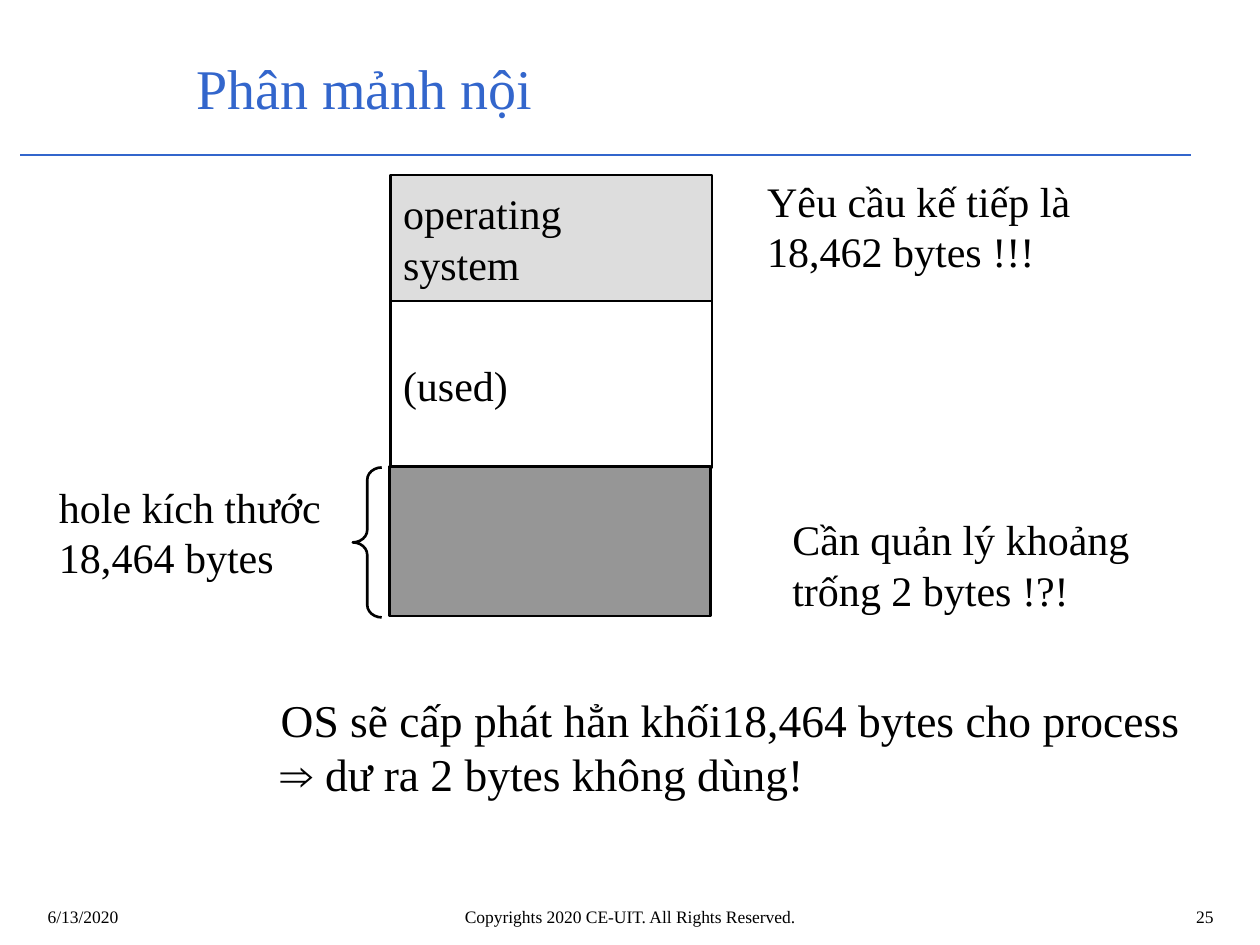
from typing import NamedTuple, Optional

from lxml.etree import SubElement
from pptx import Presentation
from pptx.dml.color import RGBColor
from pptx.enum.shapes import MSO_CONNECTOR as Connector, MSO_SHAPE as Preset
from pptx.enum.text import MSO_ANCHOR as Anchor, PP_ALIGN as Align
from pptx.oxml.ns import qn
from pptx.util import Inches, Pt

COLUMNS, ROWS = 100, 75
WIDTH, HEIGHT = Inches(10), Inches(7.5)
FONT = "Times New Roman"
BLACK, BLUE = "000000", "3366CC"


class Area(NamedTuple):
    column: float
    row: float
    columns: float
    rows: float


class Block(NamedTuple):
    area: Area
    fill: Optional[str] = None
    text: str = ""


class Label(NamedTuple):
    area: Area
    text: str
    size: float = 24
    color: str = BLACK
    align: Align = Align.LEFT
    anchor: Anchor = Anchor.TOP


def across(columns: float) -> int:
    return round(WIDTH * columns / COLUMNS)


def down(rows: float) -> int:
    return round(HEIGHT * rows / ROWS)


def place(area: Area) -> tuple:
    return across(area.column), down(area.row), across(area.columns), down(area.rows)


def color_of(value: str) -> RGBColor:
    return RGBColor.from_string(value)


def write(shape, text: str, *, size: float = 24, color: str = BLACK,
          align: Align = Align.LEFT, anchor: Anchor = Anchor.TOP) -> None:
    frame = shape.text_frame
    frame.word_wrap = True
    frame.vertical_anchor = anchor
    frame.text = text
    for paragraph in frame.paragraphs:
        paragraph.alignment = align
        paragraph.font.name = FONT
        paragraph.font.size = Pt(size)
        paragraph.font.color.rgb = color_of(color)


def add_outlined(slide, preset: Preset, area: Area, fill: Optional[str] = None):
    shape = slide.shapes.add_shape(preset, *place(area))
    shape.shadow.inherit = False
    if fill:
        shape.fill.solid()
        shape.fill.fore_color.rgb = color_of(fill)
    else:
        shape.fill.background()
    shape.line.color.rgb = color_of(BLACK)
    shape.line.width = Pt(1.5)
    return shape


def add_block(slide, block: Block) -> None:
    shape = add_outlined(slide, Preset.RECTANGLE, block.area, block.fill)
    if block.text:
        write(shape, block.text, anchor=Anchor.MIDDLE)


def add_label(slide, label: Label) -> None:
    box = slide.shapes.add_textbox(*place(label.area))
    write(box, label.text, size=label.size, color=label.color,
          align=label.align, anchor=label.anchor)


def add_rule(slide, start: float, end: float, row: float) -> None:
    rule = slide.shapes.add_connector(
        Connector.STRAIGHT, across(start), down(row), across(end), down(row))
    rule.line.color.rgb = color_of(BLUE)
    rule.line.width = Pt(0.75)
    SubElement(rule._element.spPr, qn("a:effectLst"))


def add_brace(slide, area: Area) -> None:
    brace = add_outlined(slide, Preset.LEFT_BRACE, area)
    brace.adjustments[0] = 0.43
    brace.adjustments[1] = 0.5


TITLE = Label(Area(14.6, 3.1, 80.4, 7.6), "Phân mảnh nội", 32, BLUE, anchor=Anchor.MIDDLE)
MEMORY = [
    Block(Area(31, 13.9, 25.5, 10), "DDDDDD", "operating\nsystem"),
    Block(Area(31, 23.9, 25.5, 13.2), text="(used)"),
    Block(Area(30.9, 37, 25.5, 11.9), "969696"),
]
NOTES = [
    Label(Area(59.9, 13.4, 31.5, 9.1), "Yêu cầu kế tiếp là 18,462 bytes !!!"),
    Label(Area(3.7, 37.7, 23, 9.1), "hole kích thước\n18,464 bytes"),
    Label(Area(61.9, 40.3, 33.1, 9.1), "Cần quản lý khoảng trống 2 bytes !?!"),
    Label(Area(21.3, 54.4, 73.6, 9.7),
          "OS sẽ cấp phát hẳn khối18,464 bytes cho process ⇒ dư ra 2 bytes không dùng!", 26),
]
FOOTER = [
    Label(Area(2.8, 71.4, 23.3, 3.2), "6/13/2020", 10),
    Label(Area(78.1, 71.4, 19.2, 3.2), "25", 10, align=Align.RIGHT),
    Label(Area(19.3, 71.4, 61.4, 3.2), "Copyrights 2020 CE-UIT. All Rights Reserved.",
          10, align=Align.CENTER),
]


def main() -> None:
    presentation = Presentation()
    presentation.slide_width, presentation.slide_height = WIDTH, HEIGHT
    slide = presentation.slides.add_slide(presentation.slide_layouts[6])
    add_rule(slide, 1.6, 94.5, 12.3)
    for label in [TITLE, *FOOTER]:
        add_label(slide, label)
    for block in MEMORY:
        add_block(slide, block)
    add_brace(slide, Area(28, 37.1, 2.3, 11.9))
    for note in NOTES:
        add_label(slide, note)
    presentation.save("out.pptx")


if __name__ == "__main__":
    main()
